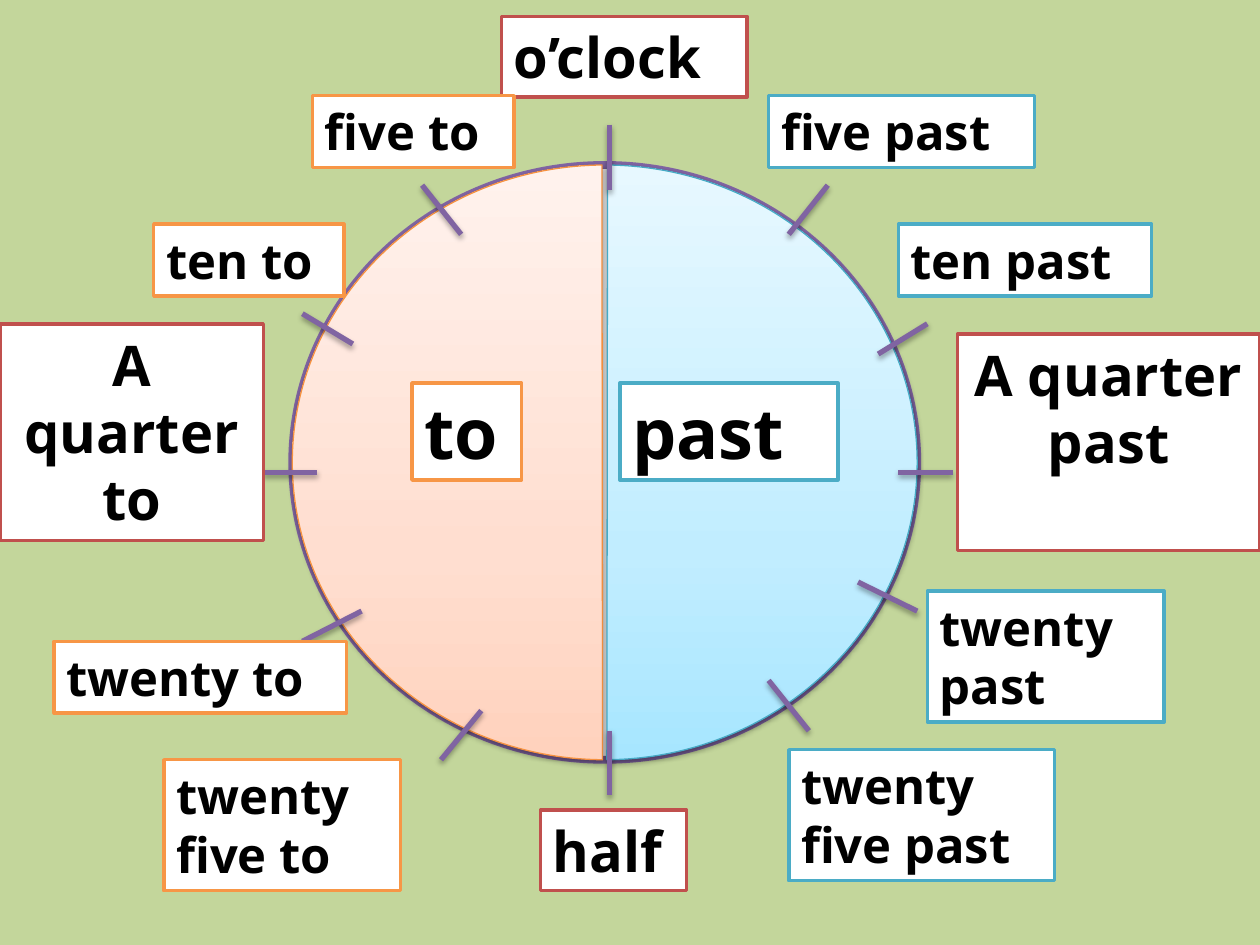
import copy

import lxml.etree
import pptx
import pptx.dml.color
import pptx.enum.shapes
import pptx.enum.text
import pptx.oxml.ns
import pptx.util

Inches = pptx.util.Inches
Pt = pptx.util.Pt
RGBColor = pptx.dml.color.RGBColor
SHAPES = pptx.enum.shapes.MSO_SHAPE
qn = pptx.oxml.ns.qn

GREEN = RGBColor(0xC3, 0xD6, 0x9B)
WHITE = RGBColor(0xFF, 0xFF, 0xFF)
BLACK = RGBColor(0x00, 0x00, 0x00)
PURPLE = RGBColor(0x80, 0x64, 0xA2)
RED = RGBColor(0xC0, 0x50, 0x4D)
ORANGE = RGBColor(0xF7, 0x96, 0x46)
BLUE = RGBColor(0x4B, 0xAC, 0xC6)
ORANGE_EDGE = RGBColor(0xF6, 0x92, 0x40)
BLUE_EDGE = RGBColor(0x46, 0xAA, 0xC5)
ORANGE_SHADES = [RGBColor(0xFF, 0xD2, 0xBD), RGBColor(0xFF, 0xDE, 0xD0), RGBColor(0xFF, 0xF2, 0xED)]
BLUE_SHADES = [RGBColor(0xA7, 0xE6, 0xFF), RGBColor(0xC1, 0xED, 0xFF), RGBColor(0xE7, 0xF8, 0xFF)]
SHADE_STOPS = [0, 0.35, 1]

FONT = "Open Sans"
PAGE_BOX = (0, 0, 10, 7.5)
DIAL_BOX = (2.32, 1.31, 4.96, 4.72)

# Five-minute marks, clockwise from the top: x1, y1, x2, y2 from the page corner
TICKS = [
    (4.84, 0.99, 4.84, 1.51),
    (6.26, 1.86, 6.57, 1.47),
    (6.97, 2.81, 7.36, 2.57),
    (7.13, 3.75, 7.56, 3.75),
    (6.81, 4.62, 7.28, 4.85),
    (6.1, 5.4, 6.42, 5.8),
    (4.84, 5.8, 4.84, 6.31),
    (3.82, 5.64, 3.5, 6.03),
    (2.87, 4.85, 2.4, 5.09),
    (2.09, 3.75, 2.52, 3.75),
    (2.8, 2.73, 2.4, 2.49),
    (3.66, 1.86, 3.35, 1.47),
]

# Text, place from the page corner, edge colour, text size
LABELS = [
    ("past", (4.92, 3.04, 1.73, 0.77), BLUE, 40),
    ("to", (3.27, 3.04, 0.87, 0.77), ORANGE, 40),
    ("o’clock", (3.98, 0.13, 1.95, 0.64), RED, 32),
    ("half", (4.29, 6.43, 1.16, 0.64), RED, 32),
    ("five past", (6.1, 0.76, 2.11, 0.57), BLUE, 28),
    ("ten past", (7.13, 1.78, 2.01, 0.57), BLUE, 28),
    ("twenty\npast", (7.36, 4.69, 1.88, 1.04), BLUE, 28),
    ("twenty\nfive past", (6.26, 5.95, 2.11, 1.04), BLUE, 28),
    ("twenty\nfive to", (1.3, 6.03, 1.88, 1.04), ORANGE, 28),
    ("twenty to", (0.43, 5.09, 2.32, 0.57), ORANGE, 28),
    ("ten to", (1.22, 1.78, 1.51, 0.57), ORANGE, 28),
    ("five to", (2.48, 0.76, 1.6, 0.57), ORANGE, 28),
]
QUARTER_LABELS = [
    ("A quarter past", (7.6, 2.65, 2.4, 1.72), RED, 32),
    ("A quarter to", (0, 2.57, 2.09, 1.72), RED, 32),
]


def add_shadow(shape, distance, opacity):
    """Cast a soft black shadow straight down."""
    effects = lxml.etree.SubElement(shape._element.spPr, qn("a:effectLst"))
    shadow = lxml.etree.SubElement(
        effects, qn("a:outerShdw"), blurRad=str(Pt(3.1)), dist=str(Pt(distance)),
        dir="5400000", rotWithShape="0")
    color = lxml.etree.SubElement(shadow, qn("a:srgbClr"), val=str(BLACK))
    lxml.etree.SubElement(color, qn("a:alpha"), val=str(opacity * 1000))


def set_gradient(shape, shades):
    """Fill from the bottom up with three shades."""
    shape.fill.gradient()
    shape.fill.gradient_angle = 90
    stop_list = shape._element.spPr.find(".//" + qn("a:gsLst"))
    stop_list.append(copy.deepcopy(stop_list[-1]))
    for stop, position, shade in zip(shape.fill.gradient_stops, SHADE_STOPS, shades):
        stop.position = position
        stop.color.rgb = shade


def add_dial(page, box):
    place = [Inches(length) for length in box]

    # Clock rim
    rim = page.shapes.add_shape(SHAPES.OVAL, *place)
    rim.fill.solid()
    rim.fill.fore_color.rgb = WHITE
    rim.line.color.rgb = PURPLE
    rim.line.width = Pt(4.5)
    rim.shadow.inherit = False

    # "To" half on the left, "past" half mirrored on the right
    for shades, edge, mirrored in [(ORANGE_SHADES, ORANGE_EDGE, False),
                                   (BLUE_SHADES, BLUE_EDGE, True)]:
        half = page.shapes.add_shape(SHAPES.CHORD, *place)
        half.adjustments[0] = 54.252
        half.adjustments[1] = 161.671
        set_gradient(half, shades)
        half.line.color.rgb = edge
        half.line.width = Pt(0.75)
        if mirrored:
            half._element.spPr.find(qn("a:xfrm")).set("flipH", "1")
        add_shadow(half, 1.6, 38)


def add_ticks(page, box):
    left, top = box[:2]
    for x1, y1, x2, y2 in TICKS:
        tick = page.shapes.add_connector(
            pptx.enum.shapes.MSO_CONNECTOR.STRAIGHT,
            Inches(left + x1), Inches(top + y1), Inches(left + x2), Inches(top + y2))
        tick.line.color.rgb = PURPLE
        tick.line.width = Pt(3)
        add_shadow(tick, 1.8, 35)


def add_labels(page, box, labels, wrapped=False, alignment=None):
    page_left, page_top = box[:2]
    for text, (left, top, width, height), edge, size in labels:
        label = page.shapes.add_textbox(
            Inches(page_left + left), Inches(page_top + top), Inches(width), Inches(height))
        label.fill.solid()
        label.fill.fore_color.rgb = WHITE
        label.line.color.rgb = edge
        label.line.width = Pt(2)
        frame = label.text_frame
        frame.word_wrap = wrapped
        frame.auto_size = pptx.enum.text.MSO_AUTO_SIZE.SHAPE_TO_FIT_TEXT
        frame.text = text
        for para in frame.paragraphs:
            para.alignment = alignment
            for span in para.runs:
                span.font.name = FONT
                span.font.size = Pt(size)
                span.font.bold = True
                span.font.color.rgb = BLACK


def main():
    deck = pptx.Presentation()
    deck.slide_width = Inches(PAGE_BOX[2])
    deck.slide_height = Inches(PAGE_BOX[3])
    page = deck.slides.add_slide(deck.slide_layouts[6])
    page.background.fill.solid()
    page.background.fill.fore_color.rgb = GREEN

    add_dial(page, DIAL_BOX)
    add_ticks(page, PAGE_BOX)
    # Halves go first in LABELS; quarters wrap inside their boxes
    add_labels(page, PAGE_BOX, LABELS[:2], wrapped=True)
    add_labels(page, PAGE_BOX, LABELS[2:])
    add_labels(page, PAGE_BOX, QUARTER_LABELS, wrapped=True,
               alignment=pptx.enum.text.PP_ALIGN.CENTER)
    deck.save("out.pptx")


if __name__ == "__main__":
    main()
